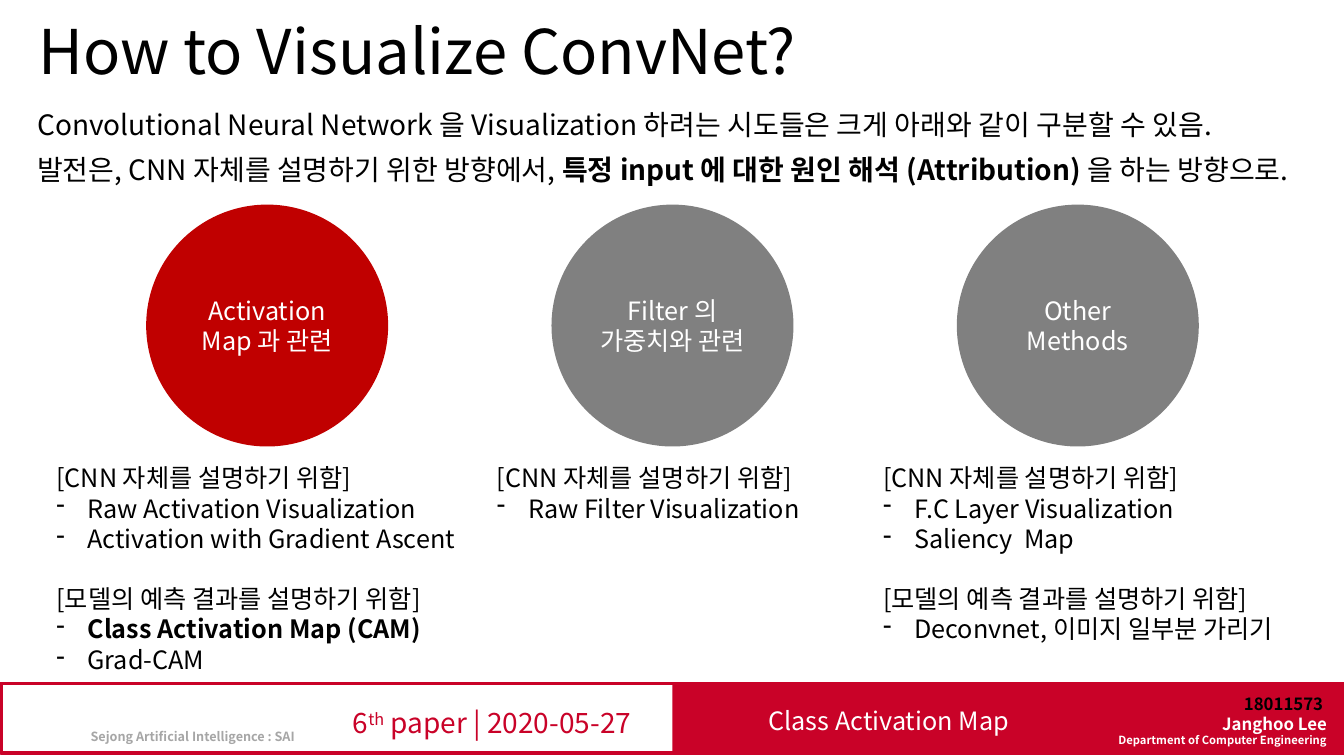
from dataclasses import dataclass

from lxml import etree
from pptx import Presentation
from pptx import util as u
from pptx.dml.color import RGBColor
from pptx.enum import shapes, text
from pptx.oxml import ns


@dataclass(frozen=True)
class Theme:
    font: str = "Noto Sans CJK KR"
    black: str = "000000"
    white: str = "FFFFFF"
    crimson: str = "C90228"
    red: str = "C00000"
    gray: str = "808080"
    pale: str = "A6A6A6"
    title: float = 44
    lead: float = 20
    label: float = 18
    author: float = 12
    club: float = 9
    department: float = 8
    list_gap: float = 21.6


THEME = Theme()
LEFT, CENTER, RIGHT = text.PP_ALIGN.LEFT, text.PP_ALIGN.CENTER, text.PP_ALIGN.RIGHT
OWN_HEADING = "[CNN 자체를 설명하기 위함]"
PREDICTION_HEADING = "[모델의 예측 결과를 설명하기 위함]"

METHODS = [
    (["Activation Map 과 관련"], THEME.red, 0.46, 4.22, [
        (OWN_HEADING, ["Raw Activation Visualization", "Activation with Gradient Ascent"]),
        (PREDICTION_HEADING, [("Class Activation Map (CAM)", {"bold": True}), "Grad-CAM"]),
    ]),
    (["Filter 의", "가중치와 관련"], THEME.gray, 4.83, 4.22, [
        (OWN_HEADING, ["Raw Filter Visualization"]),
    ]),
    (["Other Methods"], THEME.gray, 8.66, 4.18, [
        (OWN_HEADING, ["F.C Layer Visualization", "Saliency  Map"]),
        (PREDICTION_HEADING, ["Deconvnet, 이미지 일부분 가리기"]),
    ]),
]


def inches(box):
    return [u.Inches(value) for value in box]


def apply(target, formats):
    for name, value in formats.items():
        setattr(target, name, value)


def write_run(paragraph, content, size, color, bold=False, baseline=None):
    run = paragraph.add_run()
    run.text = content
    apply(run.font, {"size": u.Pt(size), "bold": bold, "name": THEME.font})
    run.font.color.rgb = RGBColor.from_string(color)
    properties = run._r.get_or_add_rPr()
    etree.SubElement(properties, ns.qn("a:ea"), typeface=THEME.font)
    if baseline:
        properties.set("baseline", str(baseline))


def write_paragraph(frame, parts, size, color, **formats):
    first = frame.paragraphs[0]
    paragraph = frame.add_paragraph() if first.runs else first
    apply(paragraph, formats)
    for part in parts:
        content, style = (part, {}) if isinstance(part, str) else part
        write_run(paragraph, content, **({"size": size, "color": color} | style))
    return paragraph


def add_dash(paragraph):
    properties = paragraph._p.get_or_add_pPr()
    indent = u.Inches(0.31)
    properties.set("marL", str(indent))
    properties.set("indent", str(-indent))
    etree.SubElement(properties, ns.qn("a:buChar"), char="-")


def add_text(slide, box):
    frame = slide.shapes.add_textbox(*inches(box)).text_frame
    frame.word_wrap = True
    return frame


def add_block(slide, kind, box, fill=None, line=None):
    block = slide.shapes.add_shape(kind, *inches(box))
    block.shadow.inherit = False
    if fill:
        block.fill.solid()
        block.fill.fore_color.rgb = RGBColor.from_string(fill)
    else:
        block.fill.background()
    if line:
        block.line.color.rgb = RGBColor.from_string(line)
        block.line.width = u.Pt(2.25)
    else:
        block.line.fill.background()
    return block


def add_footer(slide):
    rectangle = shapes.MSO_SHAPE.RECTANGLE
    add_block(slide, rectangle, (6.67, 6.79, 6.7, 0.68), fill=THEME.crimson)
    add_block(slide, rectangle, (0.01, 6.78, 13.33, 0.69), line=THEME.crimson)
    author = add_text(slide, (10.88, 6.83, 2.38, 0.48))
    for content, size, color in [
        ("18011573 ", THEME.author, THEME.black),
        ("Janghoo Lee", THEME.author, THEME.white),
        ("Department of Computer Engineering", THEME.department, THEME.white),
    ]:
        write_paragraph(author, [(content, {"bold": True})], size, color, alignment=RIGHT)
    session = ["6", ("th", {"baseline": 30000}), " paper | 2020-05-27"]
    club = [("Sejong Artificial Intelligence : SAI", {"bold": True})]
    for box, parts, size, color in [
        ((2.99, 6.95, 3.78, 0.44), session, THEME.lead, THEME.crimson),
        ((6.67, 6.95, 4.29, 0.4), ["Class Activation Map"], THEME.label, THEME.white),
        ((0.64, 7.18, 2.54, 0.25), club, THEME.club, THEME.pale),
    ]:
        write_paragraph(add_text(slide, box), parts, size, color, alignment=CENTER)


def add_title(slide):
    title = slide.shapes.title
    apply(title, dict(zip(("left", "top", "width", "height"), inches((0.28, 0.01, 12.8, 1.06)))))
    title.text_frame.vertical_anchor = text.MSO_ANCHOR.MIDDLE
    write_paragraph(title.text_frame, ["How to Visualize ConvNet?"], THEME.title, THEME.black,
                    alignment=LEFT, line_spacing=0.9)


def add_lead(slide):
    lead = add_text(slide, (0.27, 1.06, 12.81, 1.2))
    write_paragraph(lead, [
        "Convolutional Neural Network 을 Visualization 하려는 시도들은 크게 아래와 같이 구분할 수 있음.",
    ], THEME.lead, THEME.black, line_spacing=0.9)
    write_paragraph(lead, [
        "발전은, CNN 자체를 설명하기 위한 방향에서, ",
        ("특정 input 에 대한 원인 해석 (Attribution) ", {"bold": True}),
        "을 하는 방향으로.",
    ], THEME.lead, THEME.black, line_spacing=0.9, space_before=u.Pt(10))


def add_circle(slide, left, lines, fill):
    circle = add_block(slide, shapes.MSO_SHAPE.OVAL, (left, 2.03, 2.4, 2.4), fill=fill)
    apply(circle.text_frame, {"word_wrap": True, "vertical_anchor": text.MSO_ANCHOR.MIDDLE})
    for line in lines:
        write_paragraph(circle.text_frame, [line], THEME.label, THEME.white, alignment=CENTER)


def add_method_list(slide, left, width, groups):
    rows = sum(1 + len(items) for _, items in groups) + len(groups) - 1
    frame = add_text(slide, (left, 4.54, width, round(0.1 + 0.3 * rows, 2)))
    for index, (heading, items) in enumerate(groups):
        gap = {"space_before": u.Pt(THEME.list_gap)} if index else {}
        write_paragraph(frame, [heading], THEME.label, THEME.black, **gap)
        for item in items:
            add_dash(write_paragraph(frame, [item], THEME.label, THEME.black))


def main():
    deck = Presentation()
    apply(deck, {"slide_width": u.Inches(13.33), "slide_height": u.Inches(7.5)})
    slide = deck.slides.add_slide(deck.slide_layouts[5])
    add_footer(slide)
    add_title(slide)
    add_lead(slide)
    for index, (label, fill, left, width, groups) in enumerate(METHODS):
        add_circle(slide, 1.45 + 4.02 * index, label, fill)
        add_method_list(slide, left, width, groups)
    deck.save("out.pptx")


if __name__ == "__main__":
    main()
